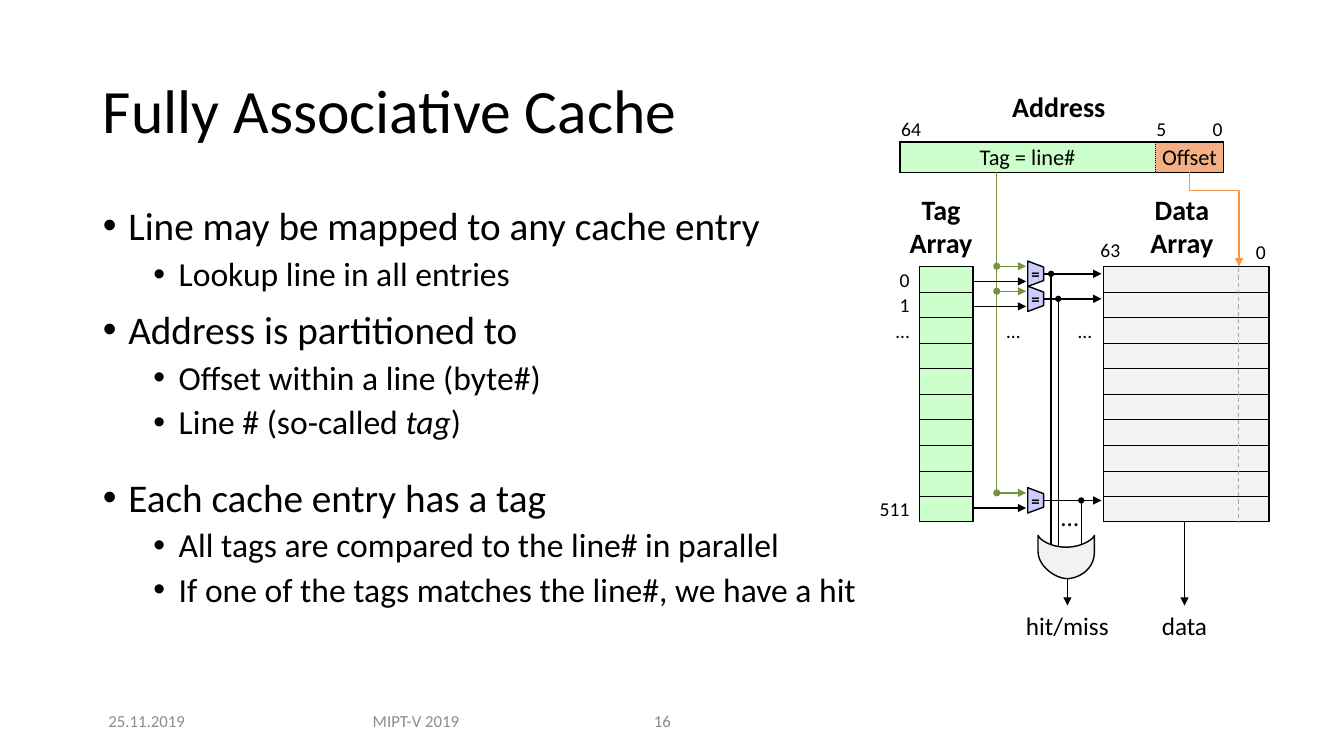
from lxml import etree
from pptx import Presentation
from pptx.dml.color import RGBColor
from pptx.enum.dml import MSO_LINE
from pptx.enum.shapes import MSO_CONNECTOR, MSO_SHAPE
from pptx.enum.text import MSO_ANCHOR, MSO_AUTO_SIZE, PP_ALIGN
from pptx.oxml.ns import qn
from pptx.util import Cm, Pt

LEFT, CENTER, RIGHT = PP_ALIGN.LEFT, PP_ALIGN.CENTER, PP_ALIGN.RIGHT
TOP, MIDDLE, BOTTOM = MSO_ANCHOR.TOP, MSO_ANCHOR.MIDDLE, MSO_ANCHOR.BOTTOM
STRAIGHT, ELBOW = MSO_CONNECTOR.STRAIGHT, MSO_CONNECTOR.ELBOW
OVAL, DASH, NO_AUTOFIT = MSO_SHAPE.OVAL, MSO_LINE.DASH, MSO_AUTO_SIZE.NONE

FONT = "Calibri"
PLAIN_TABLE = "{2D5ABB26-0587-4C30-8999-92F81FD0307C}"
COLORS = {
    "black": "000000", "white": "FFFFFF", "footer": "8C8C8C", "tag": "CCFFCC",
    "offset": "F4B084", "data": "F2F2F2", "gate": "CCCCFF", "bus": "77933C",
    "select": "F79646", "column": "A6A6A6",
}
ENTRIES, ENTRY_HEIGHT, ARRAY_TOP = 10, 0.643, 6.72
ENTRY_LABELS = {0: "0", 1: "1", 2: "…", ENTRIES - 1: "511"}


def rgb(name):
    return RGBColor.from_string(COLORS[name])


def write(paragraph, text, size=18, color="black", bold=False, italic=False):
    run = paragraph.add_run()
    run.text = text
    font = run.font
    font.name, font.size, font.bold, font.italic = FONT, Pt(size), bold, italic
    font.color.rgb = rgb(color)


def bezier(start, first, second, end, steps=12):
    """Points along a cubic curve, without its start."""
    points = []
    for step in range(1, steps + 1):
        t = step / steps
        weights = ((1 - t) ** 3, 3 * t * (1 - t) ** 2, 3 * t * t * (1 - t), t ** 3)
        points.append(tuple(sum(w * p[axis] for w, p in zip(weights, (start, first, second, end)))
                            for axis in (0, 1)))
    return points


def entry_borders(row):
    """Thick outer frame with thin rules between the entries."""
    return {"L": 1, "R": 1, "T": 1 if row == 0 else 0.5, "B": 1 if row == ENTRIES - 1 else 0.5}


class SlideBuilder:
    def __init__(self, slide):
        self.slide = slide
        self.shapes = slide.shapes

    def placeholder(self, index, left, top, width, height, anchor):
        holder = self.slide.placeholders[index]
        holder.left, holder.top, holder.width, holder.height = map(Cm, (left, top, width, height))
        holder.text_frame.auto_size = NO_AUTOFIT
        holder.text_frame.vertical_anchor = anchor
        return holder.text_frame

    def bullets(self, frame, items):
        for index, (level, pieces, spacing) in enumerate(items):
            paragraph = frame.add_paragraph() if index else frame.paragraphs[0]
            paragraph.level = level
            properties = paragraph._p.get_or_add_pPr()
            properties.set("marL", str(Cm(1.91 if level else 0.64)))
            properties.set("indent", str(-Cm(0.64)))
            etree.SubElement(properties, qn("a:buChar")).set("char", "•")
            paragraph.line_spacing = spacing
            paragraph.space_before = Pt(0 if index == 0 else 6 if level else 12)
            for piece in pieces:
                write(paragraph, piece, size=24 if level else 28, italic=piece == "tag")

    def label(self, text, left, top, width, height, align=LEFT, anchor=TOP, **style):
        box = self.shapes.add_textbox(*map(Cm, (left, top, width, height)))
        frame = box.text_frame
        frame.word_wrap = False
        frame.vertical_anchor = anchor
        for index, line in enumerate(text.split("\n")):
            paragraph = frame.add_paragraph() if index else frame.paragraphs[0]
            paragraph.alignment = align
            write(paragraph, line, **style)
        return box

    def line(self, x1, y1, x2, y2, color="black", width=1, arrow=False, kind=STRAIGHT, dash=None):
        connector = self.shapes.add_connector(kind, *map(Cm, (x1, y1, x2, y2)))
        connector.line.color.rgb = rgb(color)
        connector.line.width = Pt(width)
        if dash:
            connector.line.dash_style = dash
        if arrow:
            etree.SubElement(connector.line._get_or_add_ln(), qn("a:tailEnd")).set("type", "triangle")
        etree.SubElement(connector._element.spPr, qn("a:effectLst"))
        return connector

    def paint(self, shape, fill, line):
        shape.shadow.inherit = False
        shape.fill.solid()
        shape.fill.fore_color.rgb = rgb(fill)
        shape.line.color.rgb = rgb(line)
        shape.line.width = Pt(1)

    def dot(self, x, y, color, radius=0.08):
        shape = self.shapes.add_shape(
            OVAL, *map(Cm, (x - radius, y - radius, 2 * radius, 2 * radius)))
        self.paint(shape, color, color)

    def outline(self, points, fill):
        start, *rest = [(Cm(x), Cm(y)) for x, y in points]
        builder = self.shapes.build_freeform(*start)
        builder.add_line_segments(rest, close=True)
        shape = builder.convert_to_shape()
        self.paint(shape, fill, "black")
        return shape

    def comparator(self, y):
        gate = self.outline([(25.9, y - 0.32), (26.3, y - 0.17), (26.3, y + 0.17), (25.9, y + 0.32)],
                            "gate")
        frame = gate.text_frame
        frame.margin_left = frame.margin_right = frame.margin_top = frame.margin_bottom = 0
        frame.word_wrap = False
        frame.vertical_anchor = MIDDLE
        frame.paragraphs[0].alignment = CENTER
        write(frame.paragraphs[0], "=", size=12, bold=True)

    def table(self, left, top, widths, heights):
        frame = self.shapes.add_table(len(heights), len(widths), Cm(left), Cm(top),
                                      Cm(sum(widths)), Cm(sum(heights)))
        table = frame.table
        table.first_row = table.horz_banding = False
        table._tbl.tblPr.find(qn("a:tableStyleId")).text = PLAIN_TABLE
        for column, width in zip(table.columns, widths):
            column.width = Cm(width)
        for row, height in zip(table.rows, heights):
            row.height = Cm(height)
        return table

    def cell(self, cell, text="", fill="white", borders=None, dotted="", align=LEFT,
             anchor=MIDDLE, right=0.03, size=14):
        cell.margin_left = cell.margin_top = Cm(0.03)
        cell.margin_right, cell.margin_bottom = Cm(right), 0
        cell.vertical_anchor = anchor
        properties = cell._tc.get_or_add_tcPr()
        for side in "LRTB":
            if side in (borders or {}):
                edge = etree.SubElement(properties, qn(f"a:ln{side}"), w=str(Pt(borders[side])))
                paint = etree.SubElement(edge, qn("a:solidFill"))
                etree.SubElement(paint, qn("a:srgbClr")).set("val", COLORS["black"])
                etree.SubElement(edge, qn("a:prstDash")).set("val", "sysDot" if side == dotted else "solid")
        cell.fill.solid()
        cell.fill.fore_color.rgb = rgb(fill)
        paragraph = cell.text_frame.paragraphs[0]
        paragraph.alignment = align
        if text:
            write(paragraph, text, size=size)
        else:
            etree.SubElement(paragraph._p, qn("a:endParaRPr")).set("sz", "800")


def main():
    deck = Presentation()
    deck.slide_width, deck.slide_height = Cm(33.87), Cm(19.05)
    page = SlideBuilder(deck.slides.add_slide(deck.slide_layouts[1]))

    heading = page.placeholder(0, 2.34, 1.02, 29.21, 3.68, MIDDLE).paragraphs[0]
    heading.alignment, heading.line_spacing = LEFT, 0.9
    write(heading, "Fully Associative Cache", size=44)
    page.bullets(page.placeholder(1, 2.34, 5.08, 29.21, 11.48, TOP), [
        (0, ["Line may be mapped to any cache entry"], 0.9),
        (1, ["Lookup line in all entries"], 0.9),
        (0, ["Address is partitioned to"], 0.9),
        (1, ["Offset within a line (byte#)"], 0.9),
        (1, ["Line # (so-called ", "tag", ")"], 0.9),
        (0, ["Each cache entry has a tag"], 1.3),
        (1, ["All tags are compared to the line# in parallel"], 0.9),
        (1, ["If one of the tags matches the line#, we have a hit"], 0.9),
    ])

    entry_heights = [ENTRY_HEIGHT] * ENTRIES
    data_array = page.table(27.81, ARRAY_TOP, [4.17], entry_heights)
    tag_array = page.table(22, ARRAY_TOP, [1.17, 1.35], entry_heights)
    for row in range(ENTRIES):
        page.cell(data_array.cell(row, 0), fill="data", borders=entry_borders(row))
        page.cell(tag_array.cell(row, 0), ENTRY_LABELS.get(row, ""), align=RIGHT,
                  anchor=BOTTOM, right=0.25)
        page.cell(tag_array.cell(row, 1), fill="tag", borders=entry_borders(row))

    address = page.table(22.68, 2.92, [6.43, 0.89, 0.84], [0.66, 0.76])
    address.cell(1, 1).merge(address.cell(1, 2))
    page.cell(address.cell(0, 0), "64", anchor=BOTTOM)
    page.cell(address.cell(0, 1), "5")
    page.cell(address.cell(0, 2), "0", align=RIGHT)
    page.cell(address.cell(1, 0), "Tag = line#", "tag", {"L": 1, "T": 1, "R": 0.5, "B": 1},
              dotted="R", align=CENTER, size=16)
    for column in (1, 2):
        page.cell(address.cell(1, column), "Offset" if column == 1 else "", "offset",
                  {"L": 0.5, "T": 1, "R": 1, "B": 1}, dotted="L", align=CENTER, size=16)

    page.line(25.12, 4.34, 25.12, 12.46, "bus")
    for y, tap in ((6.9, 26.49), (7.53, 26.67), (12.61, 27.25)):
        page.line(tap, y, tap, 13.77)
        page.dot(tap, y, "black", 0.06)
        page.comparator(y)
        page.line(25.12, y - 0.19, 25.86, y - 0.19, "bus", arrow=True)
        page.dot(25.12, y - 0.19, "bus", 0.07)
        page.line(24.51, y + 0.19, 25.86, y + 0.19, arrow=True)
        page.line(26.3, y, 27.76, y, arrow=True)

    page.outline([
        (27.58, 13.92), (27.58, 13.49),
        *bezier((27.58, 13.49), (27.56, 13.59), (27.25, 13.79), (26.87, 13.79)),
        *bezier((26.87, 13.79), (26.49, 13.79), (26.21, 13.61), (26.16, 13.49)),
        (26.16, 13.89),
        *bezier((26.16, 13.89), (26.16, 14.3), (26.64, 14.58), (26.87, 14.58)),
        *bezier((26.87, 14.58), (27.1, 14.6), (27.58, 14.4), (27.58, 13.92)),
    ], "data")
    for text, x, start, width in (("hit/miss", 26.9, 14.58, 2.62), ("data", 29.85, 13.16, 1.68)):
        result = page.label(text, x - width / 2, 15.26, width, 1.02, CENTER)
        page.line(x, start, x, 15.26, arrow=True).end_connect(result, 0)

    offset_select = page.line(31.8, 4.9, 29.41, 6.14, "select", 0.75, arrow=True, kind=ELBOW)
    offset_select._element.spPr.find(qn("a:xfrm")).set("rot", "16200000")
    bend = offset_select._element.spPr.find(qn("a:prstGeom")).find(qn("a:avLst"))
    etree.SubElement(bend, qn("a:gd"), name="adj1", fmla="val 19700")
    page.line(31.22, 6.76, 31.22, 13.18, "column", 0.75, dash=DASH)

    page.label("…", 26.49, 12.5, 0.97, 1.02)
    for x in (25.12, 26.92):
        page.label("…", x, 7.9, 0.86, 0.86, size=14)
    page.label("63", 27.48, 5.87, 1.02, 0.86, size=14)
    page.label("0", 31.39, 5.92, 0.76, 0.86, RIGHT, size=14)
    for text, x in (("Tag\nArray", 22.66), ("Data\nArray", 28.73)):
        page.label(text, x, 4.72, 2.11, 1.96, CENTER, size=20, bold=True)
    page.label("Address", 24.16, 2.13, 5.05, 1.12, CENTER, size=20, bold=True)
    for text, x, width, align in (("25.11.2019", 2.34, 2.72, CENTER),
                                  ("MIPT-V 2019", 8.48, 4.01, CENTER), ("16", 16.23, 2.01, LEFT)):
        page.label(text, x, 17.65, width, 1.02, align, MIDDLE, size=12, color="footer")

    deck.save("out.pptx")


if __name__ == "__main__":
    main()
